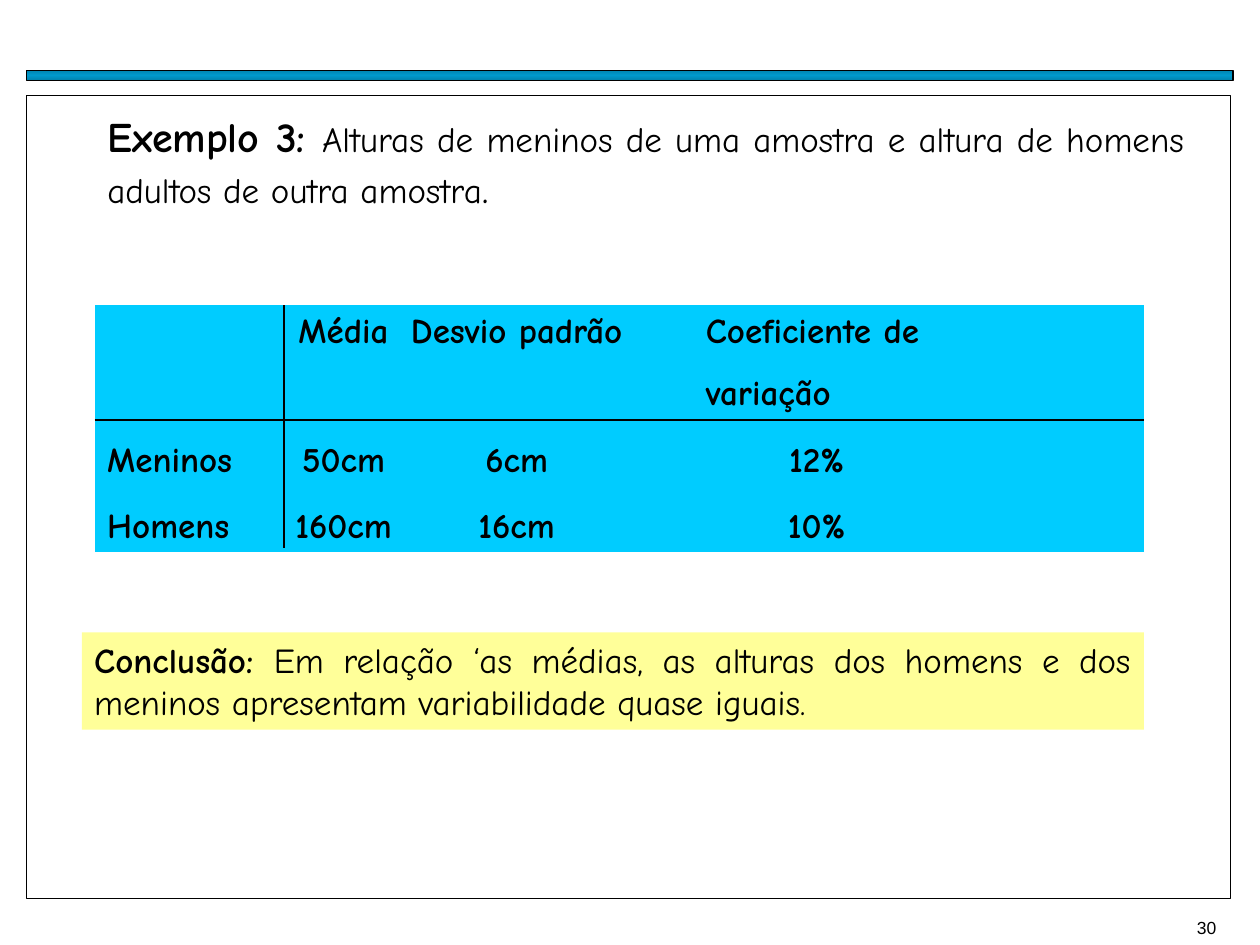
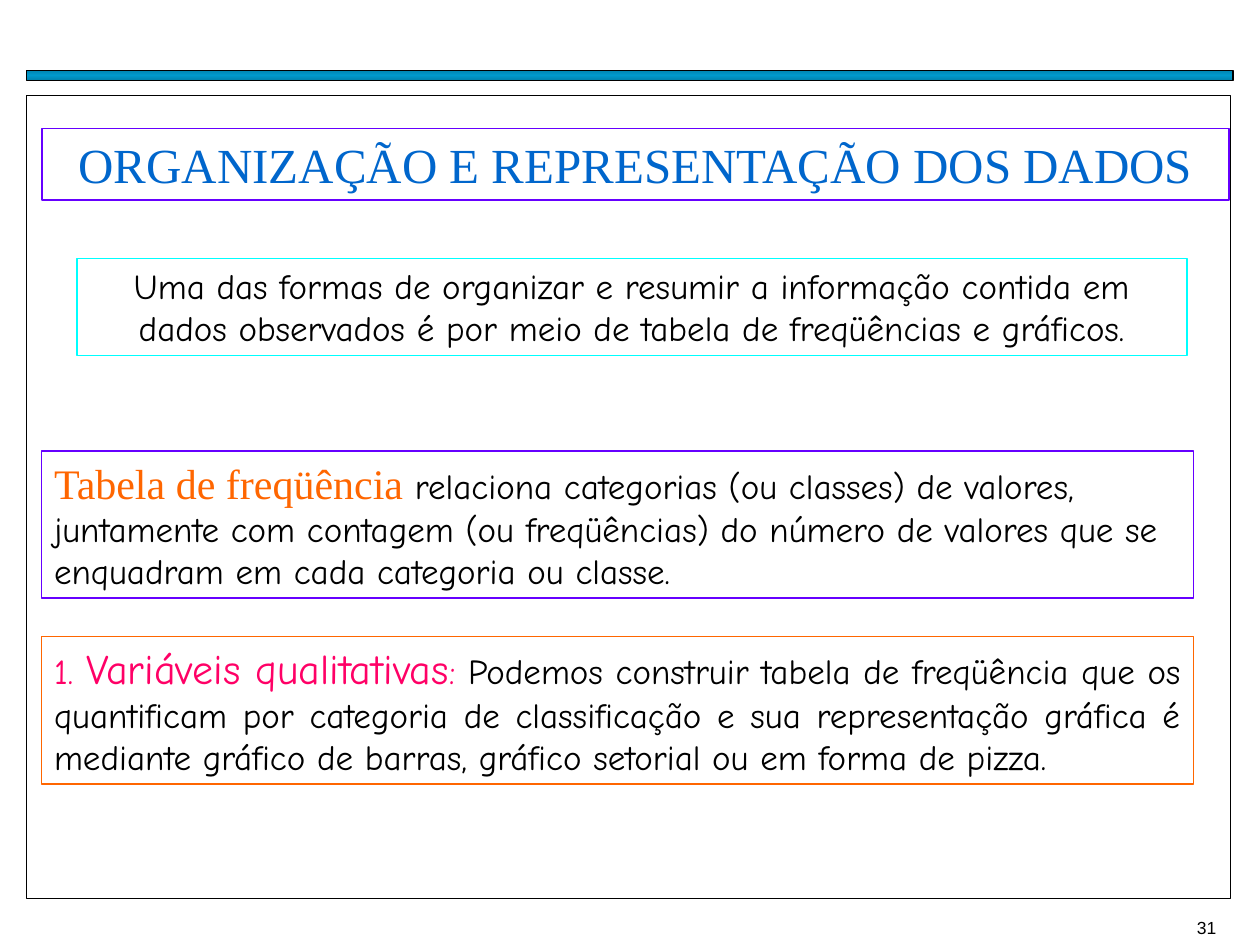
from copy import deepcopy
from dataclasses import dataclass
from typing import Optional

from pptx import Presentation
from pptx.dml.color import RGBColor
from pptx.enum.shapes import MSO_CONNECTOR as Connector, MSO_SHAPE as Shape
from pptx.enum.text import MSO_ANCHOR as Anchor, MSO_AUTO_SIZE as AutoSize, PP_ALIGN as Align
from pptx.oxml.ns import qn
from pptx.util import Cm, Pt

BLACK = "000000"
WHITE = "FFFFFF"
BAND_EDGE = "0083AF"
BAND_CENTER = "0099CC"
TABLE_BLUE = "00CCFF"
PALE_YELLOW = "FFFF99"
PURPLE = "6600FF"
CYAN = "00FFFF"
ORANGE = "FF6600"
PINK = "FF0066"
TITLE_BLUE = "0066CC"

BODY_FONT = "Comic Neue"
SERIF_FONT = "Times New Roman"
NO_GRID_STYLE = "{2D5ABB26-0587-4C30-8999-92F81FD0307C}"


@dataclass(frozen=True)
class Span:
    text: str
    size: float = 20
    color: str = BLACK
    name: str = BODY_FONT
    bold: bool = False


@dataclass(frozen=True)
class Box:
    left: float
    top: float
    width: float
    height: float
    spans: tuple[Span, ...] = ()
    align: Align = Align.LEFT
    fill: Optional[str] = None
    line: Optional[str] = None
    line_width: float = 1

    @property
    def position(self) -> tuple:
        return Cm(self.left), Cm(self.top), Cm(self.width), Cm(self.height)


@dataclass(frozen=True)
class Rule:
    left: float
    top: float
    right: float
    bottom: float


BAND = Box(0.53, 1.42, 24.33, 0.2, line=BLACK, line_width=0.75)
FRAME = Box(0.53, 1.93, 24.28, 16.18, line=BLACK, line_width=0)

EXAMPLE_TITLE = Box(1.91, 2.11, 22.23, 2.29, (
    Span("Exemplo 3: ", 24, bold=True),
    Span("Alturas de meninos de uma amostra e altura de homens adultos de outra amostra"),
    Span(".", 24),
), Align.JUSTIFY)
CONCLUSION = Box(1.65, 12.75, 21.41, 1.96, (
    Span("Conclusão: ", bold=True),
    Span("Em relação ‘as médias, as alturas dos homens e dos meninos "
         "apresentam variabilidade quase iguais."),
), Align.JUSTIFY, fill=PALE_YELLOW)

HEIGHTS_TABLE = Box(1.91, 6.15, 21.16, 4.98, fill=TABLE_BLUE)
COLUMN_WIDTHS = (3.81, 2.41, 4.57, 10.37)
ROW_HEIGHTS = (2.31, 1.35, 1.32)
HEIGHTS_ROWS = (
    ("", "Média", "Desvio padrão", "Coeficiente de\nvariação"),
    ("Meninos", "50cm", "6cm", "12%"),
    ("Homens", "160cm", "16cm", "10%"),
)
TABLE_RULES = (Rule(5.72, 6.15, 5.72, 11.05), Rule(1.91, 8.46, 23.06, 8.46))

DATA_TITLE = Box(0.84, 2.59, 23.93, 1.45, (
    Span("ORGANIZAÇÃO E REPRESENTAÇÃO DOS DADOS", 28, TITLE_BLUE, SERIF_FONT),
), Align.CENTER, WHITE, PURPLE)
DATA_BOXES = (
    Box(1.55, 5.21, 22.38, 1.96, (
        Span("Uma das formas de organizar e resumir a informação contida em dados "
             "observados é por meio de tabela de freqüências e gráficos."),
    ), Align.CENTER, WHITE, CYAN),
    Box(0.84, 9.09, 23.22, 2.97, (
        Span("Tabela de freqüência", 24, ORANGE, SERIF_FONT),
        Span(" relaciona categorias (ou classes) de valores, juntamente com contagem "
             "(ou freqüências) do número de valores que se enquadram em cada "
             "categoria ou classe."),
    ), Align.LEFT, WHITE, PURPLE),
    Box(0.84, 12.83, 23.22, 2.97, (
        Span("1. ", color=PINK),
        Span("Variáveis qualitativas", 24, PINK),
        Span(":", color=PINK),
        Span(" Podemos construir tabela de freqüência que os quantificam por categoria "
             "de classificação e sua representação gráfica é mediante gráfico de barras, "
             "gráfico setorial ou em forma de pizza."),
    ), Align.JUSTIFY, WHITE, ORANGE),
)


def rgb(value: str) -> RGBColor:
    return RGBColor.from_string(value)


def set_font(font, style: Span) -> None:
    font.name = style.name
    font.size = Pt(style.size)
    font.bold = style.bold
    font.color.rgb = rgb(style.color)


def format_shape(shape, box: Box) -> None:
    if box.fill:
        shape.fill.solid()
        shape.fill.fore_color.rgb = rgb(box.fill)
    else:
        shape.fill.background()
    if box.line:
        shape.line.color.rgb = rgb(box.line)
        shape.line.width = Pt(box.line_width)
    else:
        shape.line.fill.background()


def write_text(shape, box: Box) -> None:
    frame = shape.text_frame
    frame.word_wrap = True
    frame.auto_size = AutoSize.NONE
    frame.vertical_anchor = Anchor.TOP
    paragraph = frame.paragraphs[0]
    paragraph.alignment = box.align
    if len(box.spans) == 1:
        set_font(paragraph.font, box.spans[0])
    for span in box.spans:
        run = paragraph.add_run()
        run.text = span.text
        if len(box.spans) > 1:
            set_font(run.font, span)


def add_box(slide, box: Box):
    shape = slide.shapes.add_shape(Shape.RECTANGLE, *box.position)
    shape.shadow.inherit = False
    format_shape(shape, box)
    if box.spans:
        write_text(shape, box)
    return shape


def add_rule(slide, rule: Rule) -> None:
    connector = slide.shapes.add_connector(
        Connector.STRAIGHT, Cm(rule.left), Cm(rule.top), Cm(rule.right), Cm(rule.bottom))
    connector.line.color.rgb = rgb(BLACK)
    connector.line.width = Pt(1)
    properties = connector._element.spPr
    properties.append(properties.makeelement(qn("a:effectLst"), {}))


def paint_band(band) -> None:
    band.fill.gradient()
    band.fill.gradient_angle = 90
    stop_list = band._element.spPr.find(qn("a:gradFill")).find(qn("a:gsLst"))
    stop_list.append(deepcopy(stop_list[0]))
    colors = (BAND_EDGE, BAND_CENTER, BAND_EDGE)
    for index, (stop, color) in enumerate(zip(band.fill.gradient_stops, colors)):
        stop.position = index / 2
        stop.color.rgb = rgb(color)


def move_to_layout(shape, layout) -> None:
    layout.shapes._spTree.append(shape._element)


def add_slide(presentation, layout, title: Box, number: int):
    slide = presentation.slides.add_slide(layout)
    placeholder = slide.shapes.title
    placeholder.left, placeholder.top, placeholder.width, placeholder.height = title.position
    format_shape(placeholder, title)
    write_text(placeholder, title)
    number_box = slide.shapes.add_textbox(Cm(23.88), Cm(18.36), Cm(1.4), Cm(0.69))
    paragraph = number_box.text_frame.paragraphs[0]
    paragraph.text = str(number)
    set_font(paragraph.font, Span("", 10, name="Arial"))
    return slide


def add_heights_table(slide) -> None:
    graphic = slide.shapes.add_table(len(ROW_HEIGHTS), len(COLUMN_WIDTHS), *HEIGHTS_TABLE.position)
    table = graphic.table
    table.first_row = table.horz_banding = False
    table._tbl.tblPr.find(qn("a:tableStyleId")).text = NO_GRID_STYLE
    for column, width in zip(table.columns, COLUMN_WIDTHS):
        column.width = Cm(width)
    last = len(COLUMN_WIDTHS) - 1
    for row_index, (row, height) in enumerate(zip(table.rows, ROW_HEIGHTS)):
        row.height = Cm(height)
        header = row_index == 0
        for column_index, cell in enumerate(row.cells):
            cell.fill.solid()
            cell.fill.fore_color.rgb = rgb(HEIGHTS_TABLE.fill)
            cell.vertical_anchor = Anchor.TOP if header else Anchor.BOTTOM
            cell.margin_top = Cm(0.13 if header else 0)
            cell.margin_bottom = Cm(0 if header else 0.1)
            cell.margin_left = Cm(0.25 if column_index == 0 else 0)
            cell.margin_right = Cm(2.84 if column_index == last else 0)
            left_aligned = column_index == 0 or header and column_index == last
            if header and column_index == last:
                cell.margin_left = Cm(1.53)
            cell.text = HEIGHTS_ROWS[row_index][column_index]
            for line_index, paragraph in enumerate(cell.text_frame.paragraphs):
                paragraph.alignment = Align.LEFT if left_aligned else Align.CENTER
                if line_index:
                    paragraph.space_before = Pt(12.5)
                set_font(paragraph.font, Span("", bold=True))


def main() -> None:
    presentation = Presentation()
    presentation.slide_width = Cm(25.4)
    presentation.slide_height = Cm(19.05)
    layout = presentation.slide_layouts.get_by_name("Title Only")

    example = add_slide(presentation, layout, EXAMPLE_TITLE, 30)
    band = add_box(example, BAND)
    paint_band(band)
    move_to_layout(band, layout)
    move_to_layout(add_box(example, FRAME), layout)
    add_heights_table(example)
    for rule in TABLE_RULES:
        add_rule(example, rule)
    add_box(example, CONCLUSION)

    data = add_slide(presentation, layout, DATA_TITLE, 31)
    for box in DATA_BOXES:
        add_box(data, box)

    presentation.save("out.pptx")


if __name__ == "__main__":
    main()
